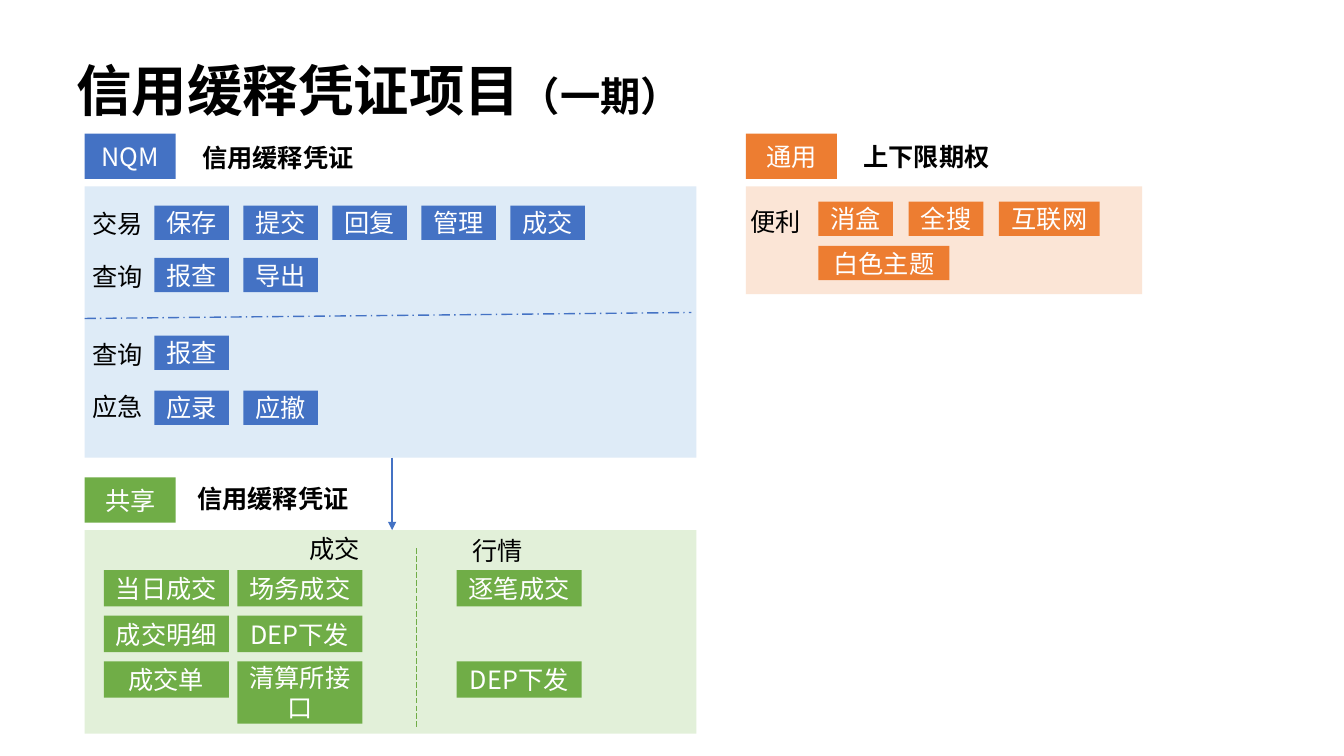
"""Build the credit risk mitigation warrant project slide."""
from pptx import Presentation
from pptx.dml.color import RGBColor
from pptx.enum import dml, shapes, text
from pptx.oxml import ns
from pptx.util import Pt
from lxml import etree

THEME = {
    "font": "Noto Sans CJK SC", "title": 39.6, "subtitle": 28.8, "body": 18,
    "black": "000000", "white": "FFFFFF",
    "blue": "4472C4", "orange": "ED7D31", "green": "70AD47",
    "blue_panel": "DEEBF7", "orange_panel": "FBE5D6", "green_panel": "E2F0D9",
}

TITLE = [("信用缓释凭证项目", "title"), ("（一期）", "subtitle")]
PANELS = [
    ("blue", "NQM", "信用缓释凭证", (60.5, 133.2, 437, 193.7), (77, -35.3)),
    ("orange", "通用", "上下限期权", (532.8, 133.2, 283, 77), (77, -36)),
    ("green", "共享", "信用缓释凭证", (60.5, 378.7, 437, 145.4), (73.4, -36.7)),
]
ROWS = [
    ("blue", 110.2, 146.9, 10.3, ["保存", "提交", "回复", "管理", "成交"]),
    ("blue", 110.2, 184.3, 10.3, ["报查", "导出"]),
    ("blue", 110.2, 239.8, 10.3, ["报查"]),
    ("blue", 110.2, 279, 10.3, ["应录", "应撤"]),
    ("orange", 584.6, 144, 11.2, ["消盒", "全搜", "互联网"]),
    ("orange", 584.6, 175.7, 11.2, ["白色主题"]),
]
LABELS = [
    ("交易", 59, 145.4), ("查询", 59, 182.9), ("查询", 59, 239), ("应急", 59, 275.8),
    ("便利", 529.2, 144), ("成交", 213.8, 377.3), ("行情", 330.5, 378.7),
]
CELL_H, TALL_H = 26, 44.6
COLUMNS = [
    (74.2, [("当日成交", CELL_H), ("成交明细", CELL_H), ("成交单", CELL_H)]),
    (169.6, [("场务成交", CELL_H), ("DEP下发", CELL_H), ("清算所接口", TALL_H)]),
    (326.2, [("逐笔成交", CELL_H), None, ("DEP下发", CELL_H)]),
]
LINES = [
    ("blue", (60.5, 227.5, 493.9, 223.2), 1, dml.MSO_LINE.LONG_DASH_DOT, False),
    ("green", (297.4, 391.7, 297.4, 519.8), 0.5, dml.MSO_LINE.LONG_DASH, False),
    ("blue", (280.1, 326.9, 280.1, 378.7), 1.5, None, True),
]
CHIP_WIDTHS = {2: 53.3, 3: 72, 4: 93.6}
CHIP_H = 24.5
CELL_W, GRID_TOP, GRID_STEP = 89.3, 407.2, 32.6
TAG_W, TAG_H, TAG_RISE = 65, 32.4, 37.8


def rgb(key):
    return RGBColor.from_string(THEME[key])


def write(sp, runs, color="black", bold=False, align=text.PP_ALIGN.LEFT,
          anchor=text.MSO_ANCHOR.TOP, wrap=False, spacing=1.0):
    tf = sp.text_frame
    for name, value in {"word_wrap": wrap, "vertical_anchor": anchor}.items():
        setattr(tf, name, value)
    p = tf.paragraphs[0]
    for name, value in {"alignment": align, "line_spacing": spacing}.items():
        setattr(p, name, value)
    for words, size in runs:
        r = p.add_run()
        r.text = words
        for name, value in {"name": THEME["font"], "size": Pt(THEME[size]), "bold": bold}.items():
            setattr(r.font, name, value)
        r.font.color.rgb = rgb(color)
        ea = etree.SubElement(r.font._element, ns.qn("a:ea"))
        ea.set("typeface", THEME["font"])


def add_box(s, box, fill, words=None):
    sp = s.shapes.add_shape(shapes.MSO_SHAPE.RECTANGLE, *map(Pt, box))
    sp.shadow.inherit = False
    sp.fill.solid()
    sp.fill.fore_color.rgb = rgb(fill)
    sp.line.fill.background()
    if words:
        write(sp, [(words, "body")], "white", align=text.PP_ALIGN.CENTER,
              anchor=text.MSO_ANCHOR.MIDDLE, wrap=True)


def add_text(s, box, runs, **formats):
    write(s.shapes.add_textbox(*map(Pt, box)), runs, **formats)


def add_line(s, color, ends, width, dash, arrow):
    sp = s.shapes.add_connector(shapes.MSO_CONNECTOR.STRAIGHT, *map(Pt, ends))
    sp.line.color.rgb = rgb(color)
    sp.line.width = Pt(width)
    if dash:
        sp.line.dash_style = dash
    if arrow:
        tail = etree.SubElement(sp.line._get_or_add_ln(), ns.qn("a:tailEnd"))
        tail.set("type", "triangle")
    etree.SubElement(sp._element.spPr, ns.qn("a:effectLst"))


prs = Presentation()
prs.slide_width, prs.slide_height = Pt(960), Pt(540)
s = prs.slides.add_slide(prs.slide_layouts[6])

add_text(s, (47.5, 43.9, 828, 45.4), TITLE, bold=True, wrap=True,
         anchor=text.MSO_ANCHOR.MIDDLE, spacing=0.9)

for color, tag, heading, (x, y, w, h), (dx, dy) in PANELS:
    add_box(s, (x, y, w, h), color + "_panel")
    add_box(s, (x, y - TAG_RISE, TAG_W, TAG_H), color, tag)
    add_text(s, (x + dx, y + dy, 136.8, 28.8), [(heading, "body")], bold=True)

for color, x, y, gap, names in ROWS:
    for name in names:
        width = CHIP_WIDTHS[len(name)]
        add_box(s, (x, y, width, CHIP_H), color, name)
        x += width + gap

for label, x, y in LABELS:
    add_text(s, (x, y, 51, 28.8), [(label, "body")])

for x, cells in COLUMNS:
    for i, cell in enumerate(cells):
        if cell:
            name, height = cell
            add_box(s, (x, GRID_TOP + i * GRID_STEP, CELL_W, height), "green", name)

for line in LINES:
    add_line(s, *line)

prs.save("out.pptx")
